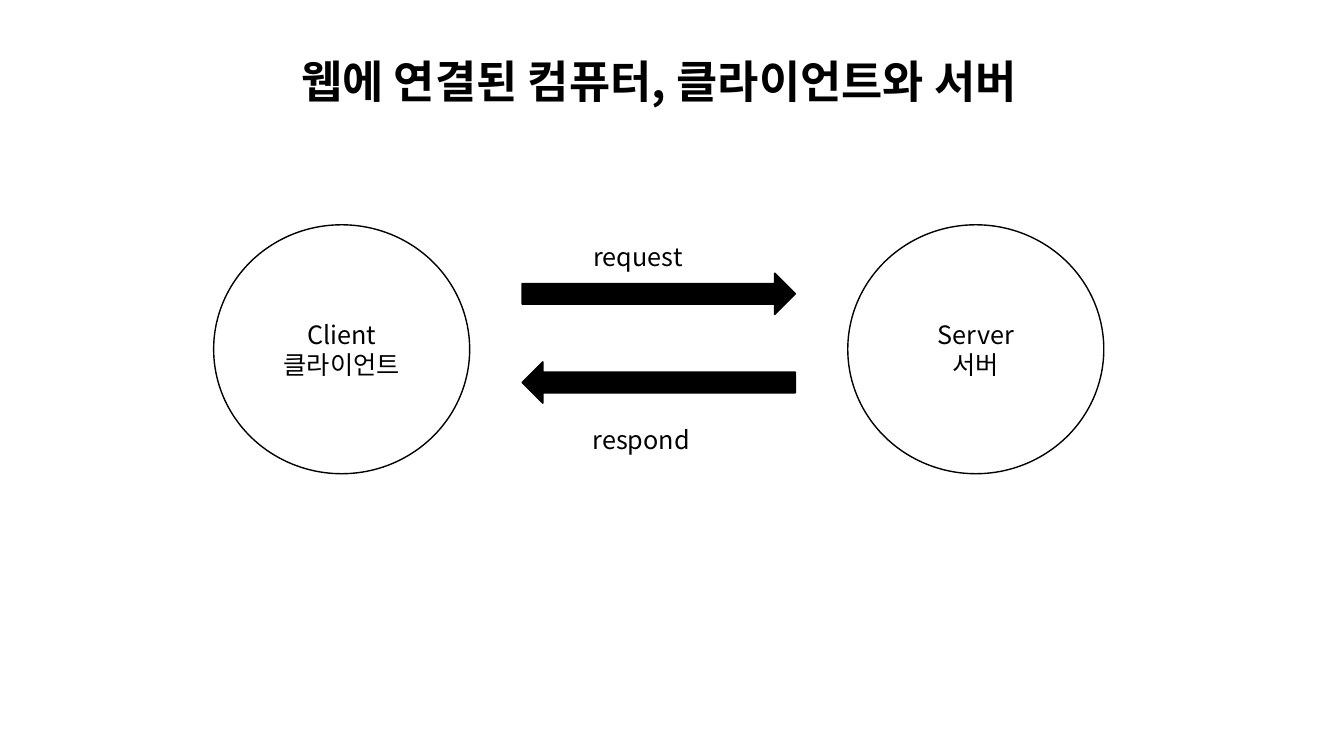
import pptx
import pptx.util
import pptx.dml.color
import pptx.enum.shapes
import pptx.enum.text
import lxml.etree
from dataclasses import dataclass


@dataclass
class Theme:
    """Colours, font and sizes of the slide."""
    ink = pptx.dml.color.RGBColor(0, 0, 0)
    paper = pptx.dml.color.RGBColor(255, 255, 255)
    font = "Noto Sans CJK KR"
    body = pptx.util.Pt(18)
    title = pptx.util.Pt(32)
    line = pptx.util.Pt(1)


theme = Theme()
kinds = pptx.enum.shapes.MSO_SHAPE
align = pptx.enum.text.PP_ALIGN
deck = pptx.Presentation()
deck.slide_width = pptx.util.Inches(13.33)
deck.slide_height = pptx.util.Inches(7.5)
slide = deck.slides.add_slide(deck.slide_layouts[6])
# One column or row is one percent of the slide.
col, row = deck.slide_width / 100, deck.slide_height / 100


def draw(kind, left, top, width, height, fill):
    """Add a preset shape, or a text box if kind is None."""
    box = [round(n) for n in (left * col, top * row, width * col, height * row)]
    if kind is None:
        return slide.shapes.add_textbox(*box)
    shape = slide.shapes.add_shape(kind, *box)
    shape.shadow.inherit = False
    shape.fill.solid()
    shape.fill.fore_color.rgb = fill
    shape.line.color.rgb = theme.ink
    shape.line.width = theme.line
    return shape


def write(shape, lines, size, side, bold=False):
    """Fill a shape with lines of text in the theme font."""
    frame = shape.text_frame
    frame.word_wrap = True
    frame.text = "\n".join(lines)
    for para in frame.paragraphs:
        para.alignment = side
        font = para.font
        font.size, font.bold, font.name = size, bold, theme.font
        font.color.rgb = theme.ink
        # Hangul takes its typeface from the East Asian slot.
        latin = para._p.pPr.find(".//{*}latin")
        asian = lxml.etree.Element(latin.tag.replace("latin", "ea"))
        asian.set("typeface", theme.font)
        latin.addnext(asian)


nodes = [(15.9, ["Client", "클라이언트"]), (63.08, ["Server", "서버"])]
for left, lines in nodes:
    node = draw(kinds.OVAL, left, 29.73, 19.05, 32.93, theme.paper)
    node.text_frame.vertical_anchor = pptx.enum.text.MSO_ANCHOR.MIDDLE
    write(node, lines, theme.body, align.CENTER)

for top, turn in [(47.87, 0), (36.13, 180)]:
    arrow = draw(kinds.LEFT_ARROW, 38.85, top, 20.33, 5.47, theme.ink)
    arrow.rotation = turn

for left, top, word in [(43.42, 31.2, "request"), (43.35, 55.47, "respond")]:
    label = draw(None, left, top, 15, 5.33, None)
    write(label, [word], theme.body, align.LEFT)

title = draw(None, 16.35, 6.4, 65.4, 8.53, None)
write(title, ["웹에 연결된 컴퓨터, 클라이언트와 서버"], theme.title, align.CENTER, True)

deck.save("out.pptx")
